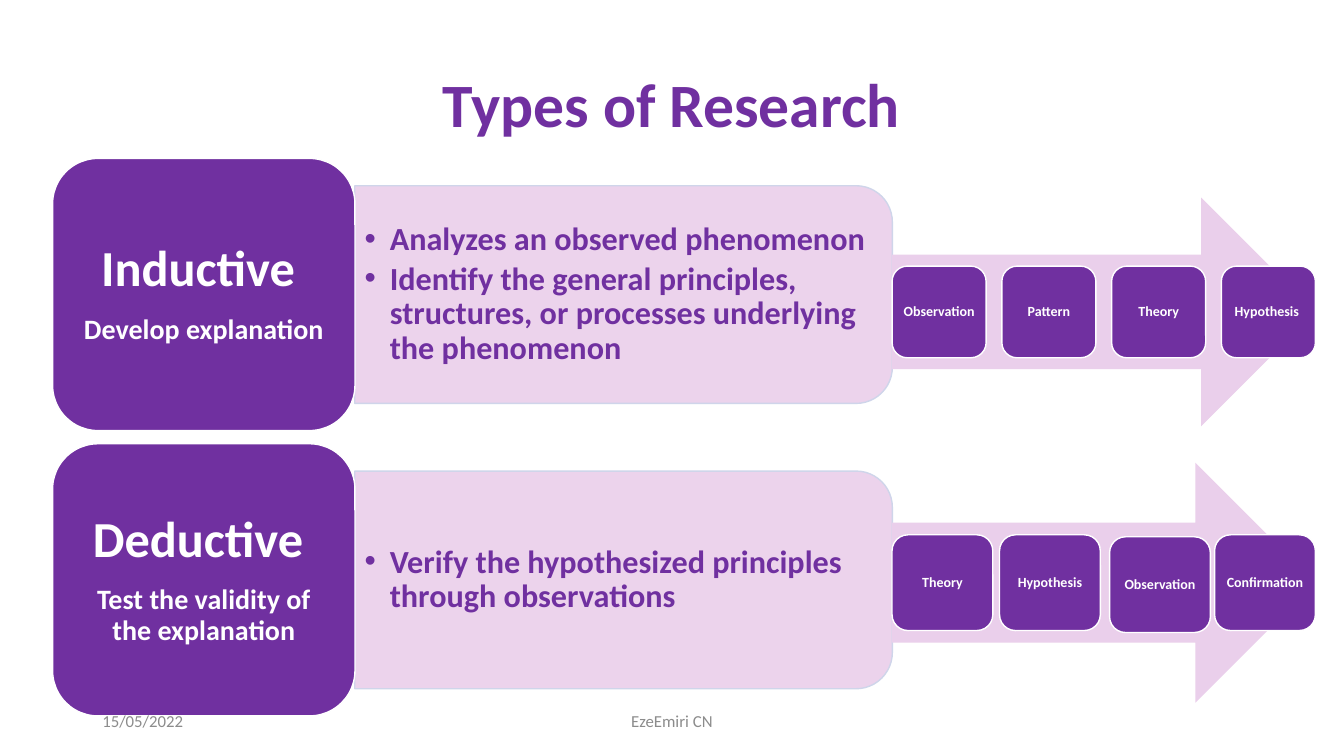
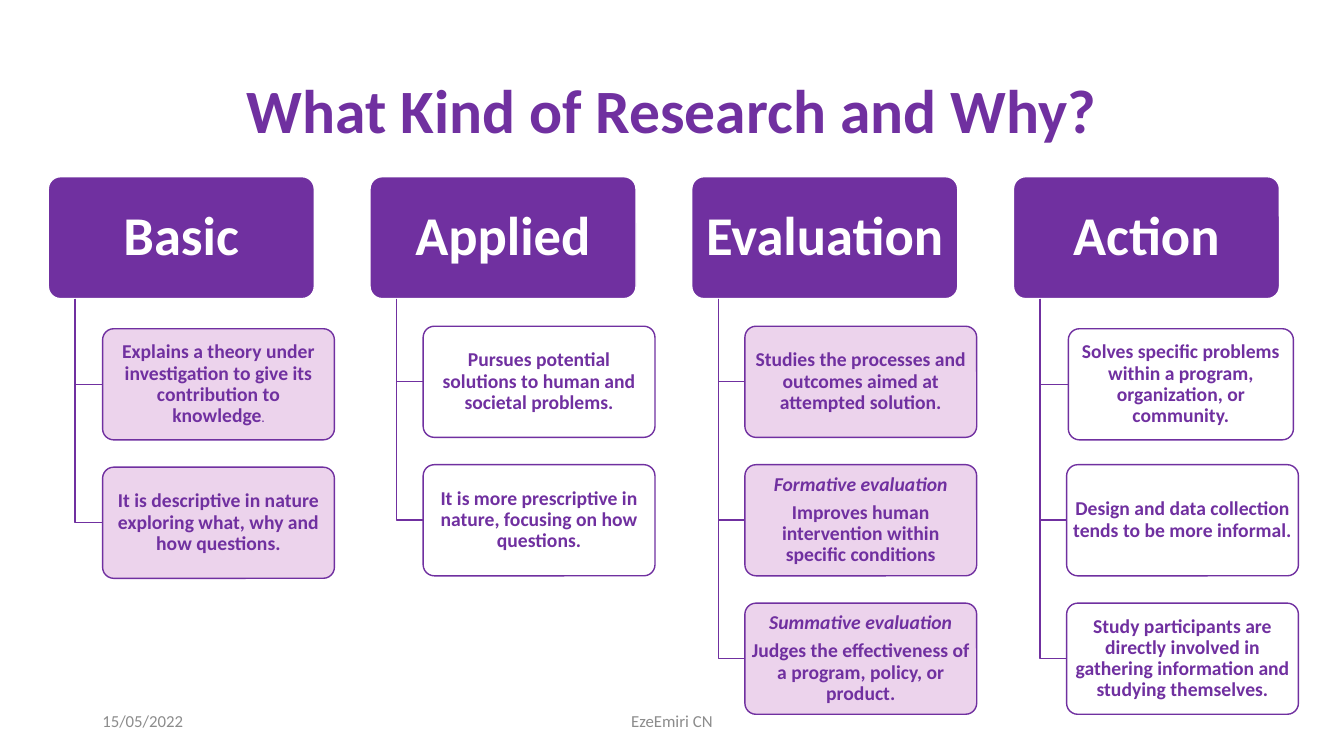
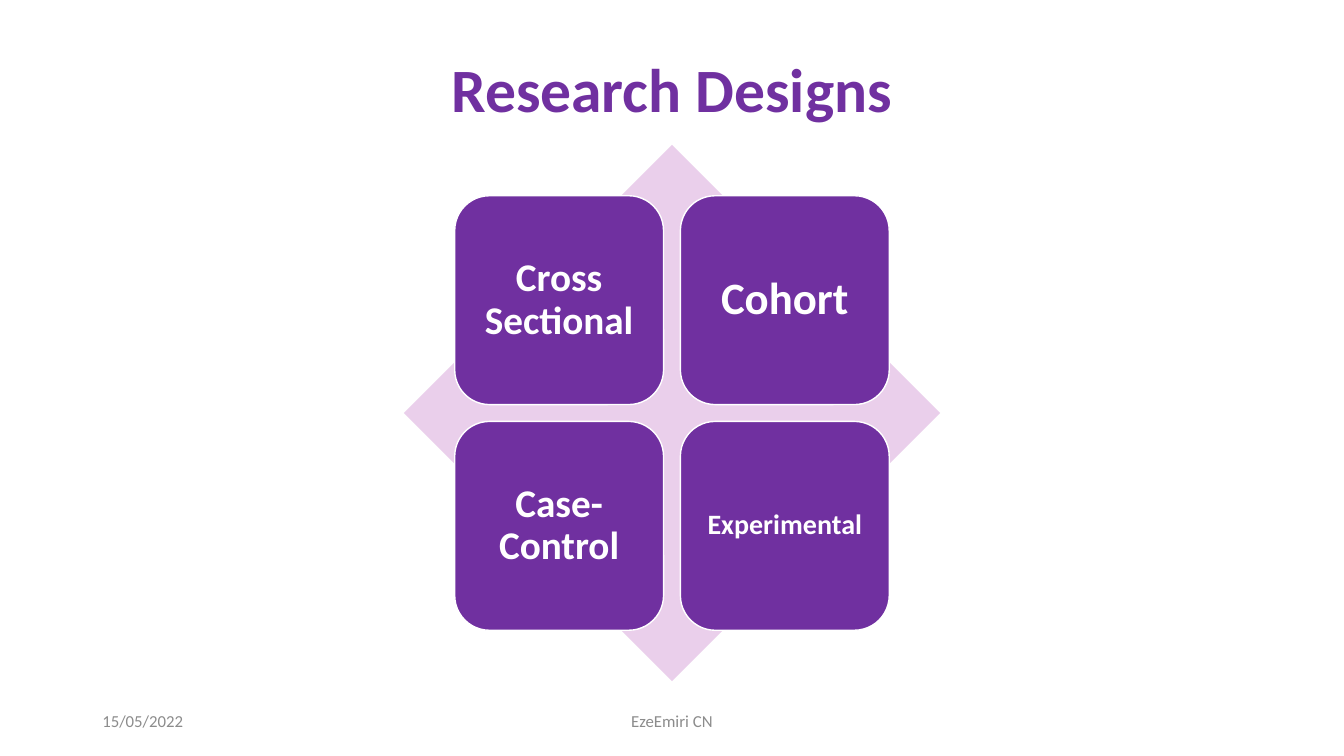
import pptx
import pptx.util
import pptx.dml.color
import pptx.enum.shapes
import pptx.enum.text
import pptx.oxml.ns
import lxml.etree

Pt = pptx.util.Pt
Shape = pptx.enum.shapes.MSO_SHAPE
Align = pptx.enum.text.PP_ALIGN
qn = pptx.oxml.ns.qn

COLOURS = {
    "purple": "7030A0",
    "lilac": "EACFEB",
    "edge": "CFD5EA",
    "white": "FFFFFF",
    "grey": "8C8C8C",
}


def colour(name):
    return pptx.dml.color.RGBColor.from_string(COLOURS[name])


class Slides:
    """Holds the shared style and the current slide."""

    font = "Calibri"
    title_size = 44
    footer_size = 12

    def __init__(self):
        self.deck = pptx.Presentation()
        self.deck.slide_width, self.deck.slide_height = Pt(960), Pt(540)
        self.page = None

    def new_page(self, title, title_height):
        self.page = self.deck.slides.add_slide(self.deck.slide_layouts[6])
        self.text_box(66, 28.8, 828, title_height, [[(title, self.title_size)]])

    def footer(self):
        for left, width, text, align in (
            (66, 216, "15/05/2022", Align.LEFT),
            (318, 324, "EzeEmiri CN", Align.CENTER),
        ):
            self.text_box(left, 500.5, width, 28.8, [[(text, self.footer_size)]],
                          ink="grey", bold=False, align=align, line_spacing=1)

    def text_box(self, left, top, width, height, paras, **style):
        box = self.page.shapes.add_textbox(Pt(left), Pt(top), Pt(width), Pt(height))
        self.set_text(box, paras, **style)

    def set_text(self, box, paras, ink="purple", bold=True, align=Align.CENTER,
                 line_spacing=0.9, after=0, insets=(7.2, 3.6), bullet=False):
        """Each paragraph is a list of (text, size[, italic]) spans."""
        frame = box.text_frame
        frame.word_wrap = True
        frame.vertical_anchor = pptx.enum.text.MSO_ANCHOR.MIDDLE
        frame.margin_left = frame.margin_right = Pt(insets[0])
        frame.margin_top = frame.margin_bottom = Pt(insets[1])
        for index, spans in enumerate(paras):
            para = frame.add_paragraph() if index else frame.paragraphs[0]
            para.alignment = align
            para.line_spacing = line_spacing
            para.space_after = Pt(spans[0][1] * after)
            if bullet:
                self.add_bullet(para)
            for text, size, *italic in spans:
                span = para.add_run()
                span.text = text
                span.font.name, span.font.size = self.font, Pt(size)
                span.font.bold, span.font.italic = bold, bool(italic)
                span.font.color.rgb = colour(ink)

    def add_bullet(self, para):
        properties = para._p.get_or_add_pPr()
        properties.set("marL", str(Pt(18)))
        properties.set("indent", str(-Pt(18)))
        lxml.etree.SubElement(properties, qn("a:buFont")).set("typeface", "Arial")
        lxml.etree.SubElement(properties, qn("a:buChar")).set("char", "•")

    def shape(self, kind, left, top, width, height, fill, line=None,
              veiled=False, adjust=None):
        shape = self.page.shapes.add_shape(kind, Pt(left), Pt(top), Pt(width), Pt(height))
        shape.fill.solid()
        shape.fill.fore_color.rgb = colour(fill)
        if veiled:
            paint = shape._element.spPr.find(qn("a:solidFill")).find(qn("a:srgbClr"))
            lxml.etree.SubElement(paint, qn("a:alpha")).set("val", "90000")
        if adjust is not None:
            shape.adjustments[0] = adjust
        self.outline(shape, line)
        return shape

    def outline(self, shape, line):
        shape.shadow.inherit = False
        if line is None:
            shape.line.fill.background()
        else:
            shape.line.color.rgb = colour(line)
            shape.line.width = Pt(1)

    def tile(self, left, top, width, height, paras, fill="purple", line="white",
             ink="white", inset_ratios=(0.3, 0.3), **look):
        """Rounded box whose insets follow its text size."""
        tile = self.shape(Shape.ROUNDED_RECTANGLE, left, top, width, height,
                          fill, line, **look)
        size = paras[0][0][1]
        self.set_text(tile, paras, ink=ink, after=0.35,
                      insets=[size * ratio for ratio in inset_ratios])

    def panel(self, left, top, width, height, points):
        """Box rounded on its right side, with a bulleted list over it."""
        # The preset is rounded at the top, so it is turned about its centre.
        panel = self.shape(Shape.ROUND_2_SAME_RECTANGLE,
                           left + (width - height) / 2, top + (height - width) / 2,
                           height, width, "lilac", "edge", veiled=True)
        panel.rotation = 90
        self.text_box(left, top + 7.5, width - 7.6, height - 15,
                      [[(point, 23)] for point in points],
                      align=Align.LEFT, after=0.15, bullet=True)

    def elbow(self, left, top, right, bottom):
        builder = self.page.shapes.build_freeform(Pt(left), Pt(top))
        builder.add_line_segments([(Pt(left), Pt(bottom)), (Pt(right), Pt(bottom))],
                                  close=False)
        elbow = builder.convert_to_shape()
        elbow.fill.background()
        self.outline(elbow, "purple")


def types_of_research(slides):
    slides.new_page("Types of Research", 96.5)

    # Approach and its description
    approaches = [
        ("Inductive ", "Develop explanation",
         ["Analyzes an observed phenomenon",
          "Identify the general principles, structures, or processes "
          "underlying the phenomenon"]),
        ("Deductive ", "Test the validity of the explanation",
         ["Verify the hypothesized principles through observations"]),
    ]
    for row, (name, aim, points) in enumerate(approaches):
        top = 113.2 + row * 203.8
        slides.panel(253.4, top + 19.5, 384, 155.5, points)
        slides.tile(37.6, top, 216, 194.4, [[(name, 36)], [(aim, 20)]],
                    inset_ratios=(0.3, 0.15))

    # Steps along each arrow: top, height, step size, pitch, steps, nudges
    flows = [
        (141.1, 163.4, (67.2, 65.5), 78.4,
         ["Observation", "Pattern", "Theory", "Hypothesis "], {}),
        (330.5, 171.4, (72, 68.4), 76.8,
         ["Theory", "Hypothesis", "Observation", "Confirmation"], {2: (1.8, 1.4)}),
    ]
    for top, height, (step_width, step_height), pitch, steps, nudges in flows:
        slides.shape(Shape.RIGHT_ARROW, 637.2, top, 302.4, height, "lilac")
        for index, step in enumerate(steps):
            across, down = nudges.get(index, (0, 0))
            slides.tile(637.2 + index * pitch + across,
                        top + (height - step_height) / 2 + down,
                        step_width, step_height, [[(step, 10)]])
    slides.footer()


def kinds_of_research(slides):
    slides.new_page("What Kind of Research and Why?", 104.4)
    size = 14
    columns = [
        ("Basic", "lilac", [
            [[("Explains a theory under investigation to give its contribution "
               "to knowledge", size), (".", 8)]],
            [[("It is descriptive in nature exploring what, why and how questions.", size)]],
        ]),
        ("Applied", "white", [
            [[("Pursues potential solutions to human and societal problems.", size)]],
            [[("It is more prescriptive in nature, focusing on how questions.", size)]],
        ]),
        ("Evaluation", "lilac", [
            [[("Studies the processes and outcomes aimed at attempted solution.", size)]],
            [[("Formative evaluation", size, True)],
             [("Improves human intervention within specific conditions", size)]],
            [[("Summative evaluation", size, True)],
             [("Judges the effectiveness of a program, policy, or product.", size)]],
        ]),
        ("Action", "white", [
            [[("Solves specific problems within a program, organization, or community.",
               size)]],
            [[("Design and data collection tends to be more informal.", size)]],
            [[("Study participants are directly involved in gathering information "
               "and studying themselves.", size)]],
        ]),
    ]
    # Small shifts of single cards: across, down, change of width
    nudges = {(0, 0): (0.8, 1.8, 0), (0, 1): (0.8, 1.8, 0), (3, 0): (1.2, 1.8, -4.8)}
    head_top, head_height, card_height = 126.2, 87.1, 79.4
    head_bottom = head_top + head_height

    for column, (name, fill, cards) in enumerate(columns):
        left = 34.5 + column * 229.8
        slides.tile(left, head_top, 190, head_height, [[(name, 39)]],
                    inset_ratios=(0.15, 0.1), adjust=0.1)
        for row, paras in enumerate(cards):
            across, down, wider = nudges.get((column, row), (0, 0, 0))
            card_left = left + 38 + across
            card_top = 233 + row * 98.9 + down
            slides.elbow(left + 19, head_bottom, card_left, card_top + card_height / 2)
            slides.tile(card_left, card_top, 165.6 + wider, card_height, paras,
                        fill=fill, line="purple", ink="purple",
                        inset_ratios=(0.15, 0.1), veiled=True, adjust=0.1)
    slides.footer()


def research_designs(slides):
    slides.new_page("Research Designs", 74.9)
    slides.shape(Shape.DIAMOND, 288.5, 103.5, 383, 383, "lilac")
    designs = [("Cross Sectional", 28), ("Cohort", 32),
               ("Case-Control", 28), ("Experimental", 20)]
    for index, design in enumerate(designs):
        row, column = divmod(index, 2)
        slides.tile(324.8 + column * 161.2, 139.8 + row * 161.2, 149.2, 149.2, [[design]])
    slides.footer()


def main():
    slides = Slides()
    types_of_research(slides)
    kinds_of_research(slides)
    research_designs(slides)
    slides.deck.save("out.pptx")


if __name__ == "__main__":
    main()
